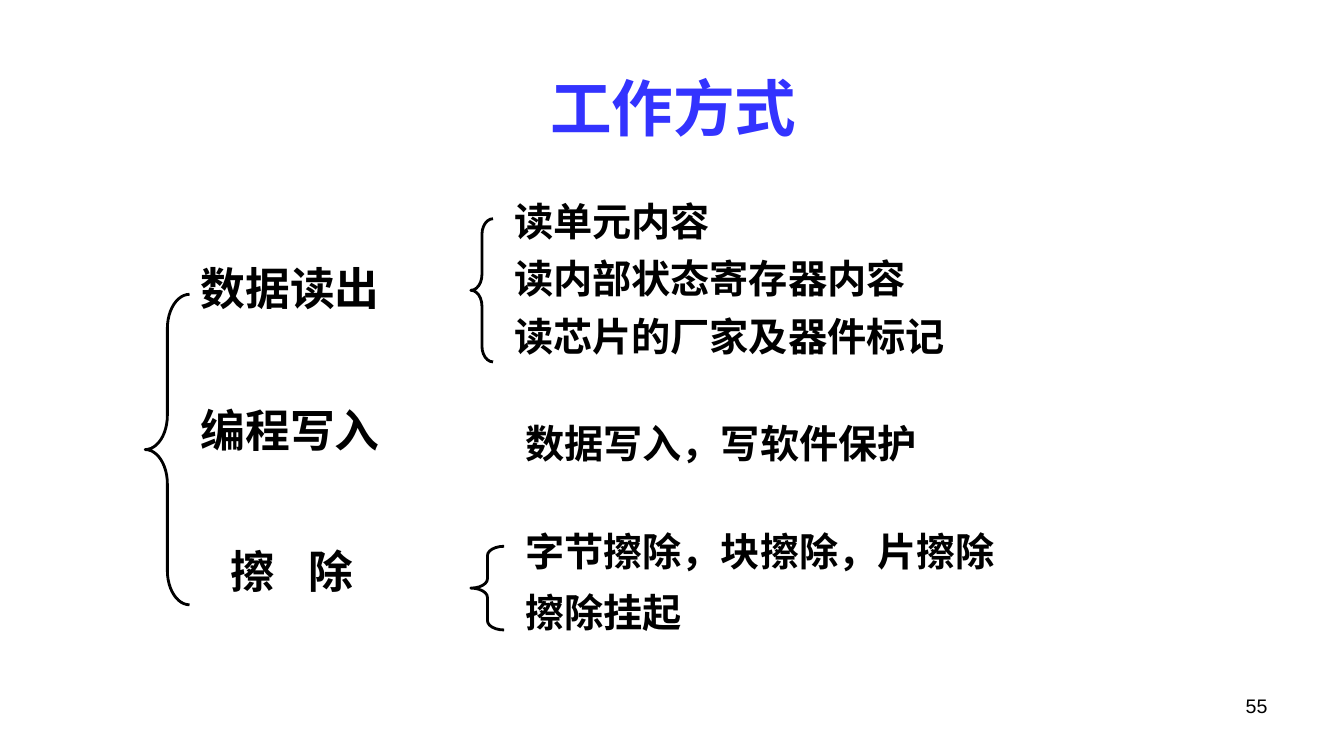
from pptx import Presentation
from pptx.dml.color import RGBColor
from pptx.enum.shapes import MSO_SHAPE as SHAPE
from pptx.enum.text import MSO_ANCHOR as ANCHOR, PP_ALIGN as ALIGN
from pptx.util import Inches, Pt

COLORS = {"title": "3333FF", "ink": "000000"}


class Page:
    body_font = "Times New Roman"
    head_font = "Arial"

    def __init__(self, prs):
        self.s = prs.slides.add_slide(prs.slide_layouts[5])

    def place(self, sp, left, top, width, height):
        sp.left, sp.top = Inches(left), Inches(top)
        sp.width, sp.height = Inches(width), Inches(height)

    def style(self, p, size, font, color="ink", bold=True):
        for r in p.runs:
            r.font.size = Pt(size)
            r.font.name = font
            r.font.bold = bold
            r.font.color.rgb = RGBColor.from_string(COLORS[color])

    def title(self, text, *box):
        sp = self.s.shapes.title
        self.place(sp, *box)
        tf = sp.text_frame
        tf.text = text
        tf.vertical_anchor = ANCHOR.MIDDLE
        p = tf.paragraphs[0]
        p.alignment = ALIGN.CENTER
        self.style(p, 44, self.head_font, "title")

    def text(self, lines, box, size=28, spacing=1.0, gap=14):
        sp = self.s.shapes.add_textbox(*map(Inches, box))
        tf = sp.text_frame
        tf.word_wrap = True
        tf.text = "\n".join(lines)
        for i, p in enumerate(tf.paragraphs):
            p.line_spacing = spacing
            p.space_before = Pt(gap if i else 0)
            self.style(p, size, self.body_font)
        return tf

    def spread_last(self, tf, indent, tracking):
        p = tf.paragraphs[-1]
        p._p.get_or_add_pPr().set("marL", str(Inches(indent)))
        first, last = p.runs[0], p.add_run()
        first.text, last.text = first.text[:-1], first.text[-1]
        self.style(p, 32, self.body_font)
        first._r.get_or_add_rPr().set("spc", str(tracking))

    def brace(self, curl, *box):
        sp = self.s.shapes.add_shape(SHAPE.LEFT_BRACE, *map(Inches, box))
        sp.shadow.inherit = False
        sp.adjustments[0] = curl
        sp.adjustments[1] = 0.5
        sp.fill.background()
        sp.line.color.rgb = RGBColor.from_string(COLORS["ink"])
        sp.line.width = Pt(2)

    def number(self, text, *box):
        tf = self.s.shapes.add_textbox(*map(Inches, box)).text_frame
        tf.word_wrap = True
        tf.text = text
        p = tf.paragraphs[0]
        p.alignment = ALIGN.RIGHT
        self.style(p, 14, self.head_font, bold=False)


def main():
    prs = Presentation()
    prs.slide_width, prs.slide_height = Inches(13.33), Inches(7.5)
    page = Page(prs)
    page.title("工作方式", 0.68, 0.44, 12, 1.25)

    modes = page.text(["数据读出", "编程写入", "擦 除"],
                      (1.89, 2.6, 3.33, 3.6), size=32, spacing=0.9, gap=66.5)
    page.spread_last(modes, 0.3, 800)

    page.text(["读单元内容", "读内部状态寄存器内容", "读芯片的厂家及器件标记"],
              (5, 2, 6.89, 1.69), spacing=0.8)
    page.text(["数据写入，写软件保护"], (5.11, 4.11, 6.22, 0.57))
    page.text(["字节擦除，块擦除，片擦除", "擦除挂起"],
              (5.11, 5.23, 6.89, 1.18), spacing=0.9)

    page.brace(0.71, 4.67, 2.17, 0.22, 1.42)
    page.brace(0.28, 4.67, 5.42, 0.33, 0.83)
    page.brace(0.77, 1.44, 2.92, 0.44, 3.08)
    page.number("55", 9.56, 6.83, 3.11, 0.52)
    prs.save("out.pptx")


if __name__ == "__main__":
    main()
